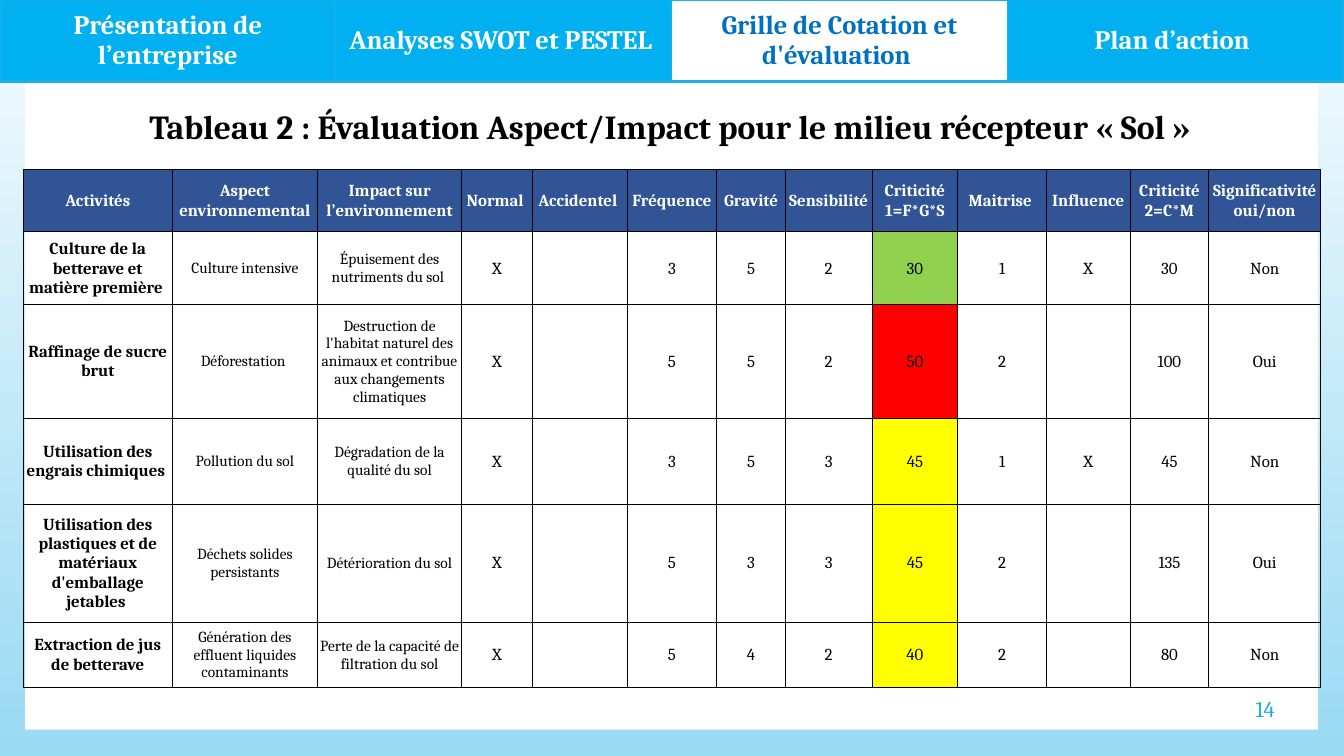
from lxml.etree import SubElement
from pptx import Presentation
from pptx.dml.color import RGBColor
from pptx.enum.shapes import MSO_SHAPE as Preset
from pptx.enum.text import MSO_ANCHOR as Anchor, PP_ALIGN as Align
from pptx.oxml.ns import qn
from pptx.util import Pt

PX = 9144
FONT = "Cambria"
PLAIN_STYLE = "{2D5ABB26-0587-4C30-8999-92F81FD0307C}"
ACCENT = "1CADE4"
WHITE = "FFFFFF"
BLACK = "000000"

TABS = [
    "Présentation de l’entreprise",
    "Analyses SWOT et PESTEL ",
    "Grille de Cotation et d'évaluation ",
    "Plan d’action ",
]
ACTIVE_TAB = 2

TITLE = "Tableau 2 : Évaluation Aspect/Impact pour le milieu récepteur « Sol » "

COLUMN_WIDTHS = [148, 144, 143, 70, 94, 89, 68, 86, 85, 88, 83, 78, 111]
ROW_HEIGHTS = [62, 72, 113, 85, 117, 65, 42]
CRITICALITY = 8
HEADINGS = [
    "Activités", "Aspect environnemental", "Impact sur l’environnement",
    "Normal ", "Accidentel ", "Fréquence", "Gravité", "Sensibilité",
    "Criticité 1=F*G*S", "Maitrise ", "Influence", "Criticité 2=C*M",
    "Significativité oui/non",
]
ASSESSMENTS = [
    ["Culture de la betterave et matière première ", "Culture intensive",
     "Épuisement des nutriments du sol ",
     "X", "", "3", "5", "2", "30", "1", "X", "30", "Non"],
    ["Raffinage de sucre brut", "Déforestation ",
     "Destruction de l'habitat naturel des animaux et contribue aux changements climatiques",
     "X", "", "5", "5", "2", "50", "2", "", "100", "Oui"],
    ["Utilisation des engrais chimiques ", "Pollution du sol",
     "Dégradation de la qualité du sol",
     "X", "", "3", "5", "3", "45", "1", "X", "45", "Non"],
    ["Utilisation des plastiques et de matériaux d'emballage jetables ",
     "Déchets solides persistants", "Détérioration du sol",
     "X", "", "5", "3", "3", "45", "2", "", "135", "Oui"],
    ["Extraction de jus de betterave",
     "Génération des effluent liquides contaminants",
     "Perte de la capacité de filtration du sol",
     "X", "", "5", "4", "2", "40", "2", "", "80", "Non"],
]
LEVEL_COLORS = {"30": "92D050", "50": "FF0000", "45": "FFFF00", "40": "FFFF00"}


def color(value):
    return RGBColor.from_string(value)


def set_format(target, values):
    for name, value in values.items():
        setattr(target, name, value)


def write(frame, text, size, ink, bold=False, align=Align.CENTER):
    paragraph = frame.paragraphs[0]
    paragraph.alignment = align
    run = paragraph.add_run()
    run.text = text
    set_format(run.font, {"name": FONT, "size": Pt(size), "bold": bold})
    run.font.color.rgb = color(ink)


def paint(cell, fill):
    if fill:
        cell.fill.solid()
        cell.fill.fore_color.rgb = color(fill)
    else:
        cell.fill.background()


def set_borders(cell, ink, widths):
    properties = cell._tc.get_or_add_tcPr()
    for side, width in zip("LRTB", widths):
        line = SubElement(properties, qn(f"a:ln{side}"), w=str(Pt(width)))
        SubElement(SubElement(line, qn("a:solidFill")), qn("a:srgbClr"), val=ink)


def add_plain_table(slide, left, top, column_widths, row_heights):
    box = [left, top, sum(column_widths), sum(row_heights)]
    frame = slide.shapes.add_table(
        len(row_heights), len(column_widths), *(PX * length for length in box))
    table = frame.table
    set_format(table, {"first_row": False, "horz_banding": False})
    table._tbl.tblPr.find(qn("a:tableStyleId")).text = PLAIN_STYLE
    for column, width in zip(table.columns, column_widths):
        column.width = PX * width
    for row, height in zip(table.rows, row_heights):
        row.height = PX * height
    return table


def add_rectangle(slide, left, top, width, height):
    shape = slide.shapes.add_shape(
        Preset.RECTANGLE, *(PX * length for length in (left, top, width, height)))
    shape.shadow.inherit = False
    shape.fill.solid()
    shape.fill.fore_color.rgb = color(WHITE)
    shape.line.fill.background()
    return shape


def add_background(slide):
    fill = slide.background.fill
    fill.gradient()
    fill.gradient_angle = 270
    for stop, shade in zip(fill.gradient_stops, ("F4FBFE", "99DAF3")):
        stop.color.rgb = color(shade)


def add_title(slide, left, top, width, height):
    shape = add_rectangle(slide, left, top, width, height)
    shape.line.color.rgb = color(WHITE)
    shape.line.width = Pt(4.5)
    set_format(shape.text_frame, {"word_wrap": True, "vertical_anchor": Anchor.TOP})
    write(shape.text_frame, TITLE, 24, BLACK, bold=True)


def add_navigation(slide, left, top, width, height):
    table = add_plain_table(slide, left, top, [width // len(TABS)] * len(TABS), [height])
    for index, text in enumerate(TABS):
        cell = table.cell(0, index)
        ink, fill = ("0070C0", WHITE) if index == ACTIVE_TAB else (WHITE, "00B0F0")
        cell.vertical_anchor = Anchor.MIDDLE
        set_borders(cell, ACCENT, (1, 1, 1, 2))
        paint(cell, fill)
        write(cell.text_frame, text, 19, ink, bold=True)


def body_style(column, text):
    size = 11 if column in (1, 2) else 12
    fill = LEVEL_COLORS[text] if column == CRITICALITY else None
    return size, BLACK, column == 0, fill


def add_assessment(slide, left, top):
    table = add_plain_table(slide, left, top, COLUMN_WIDTHS, ROW_HEIGHTS)
    margins = {"margin_left": PX, "margin_right": PX, "margin_top": PX, "margin_bottom": 0}
    for row, texts in enumerate([HEADINGS] + ASSESSMENTS):
        bottom = 1 if row == len(ASSESSMENTS) else 0.5
        for column, text in enumerate(texts):
            cell = table.cell(row, column)
            size, ink, bold, fill = (
                body_style(column, text) if row else (12, WHITE, True, "305496"))
            set_format(cell, {**margins, "vertical_anchor": Anchor.MIDDLE})
            set_borders(cell, BLACK, (0.5, 0.5, 0.5, bottom))
            paint(cell, fill)
            if text:
                write(cell.text_frame, text, size, ink, bold)
    last = len(ROW_HEIGHTS) - 1
    table.cell(last, 0).merge(table.cell(last, len(COLUMN_WIDTHS) - 1))


def add_page_number(slide, left, top, width, height):
    shape = slide.shapes.add_textbox(*(PX * length for length in (left, top, width, height)))
    set_format(shape.text_frame, {"word_wrap": True, "vertical_anchor": Anchor.MIDDLE})
    write(shape.text_frame, "14", 16, ACCENT, align=Align.RIGHT)


def main():
    presentation = Presentation()
    set_format(presentation, {"slide_width": PX * 1333, "slide_height": PX * 750})
    slide = presentation.slides.add_slide(presentation.slide_layouts[6])
    add_background(slide)
    add_rectangle(slide, 25, 27, 1282, 697)
    add_title(slide, 59, 100, 1218, 50)
    add_navigation(slide, 0, 0, 1333, 81)
    add_assessment(slide, 23, 168)
    add_page_number(slide, 1206, 683, 68, 40)
    presentation.save("out.pptx")


if __name__ == "__main__":
    main()
